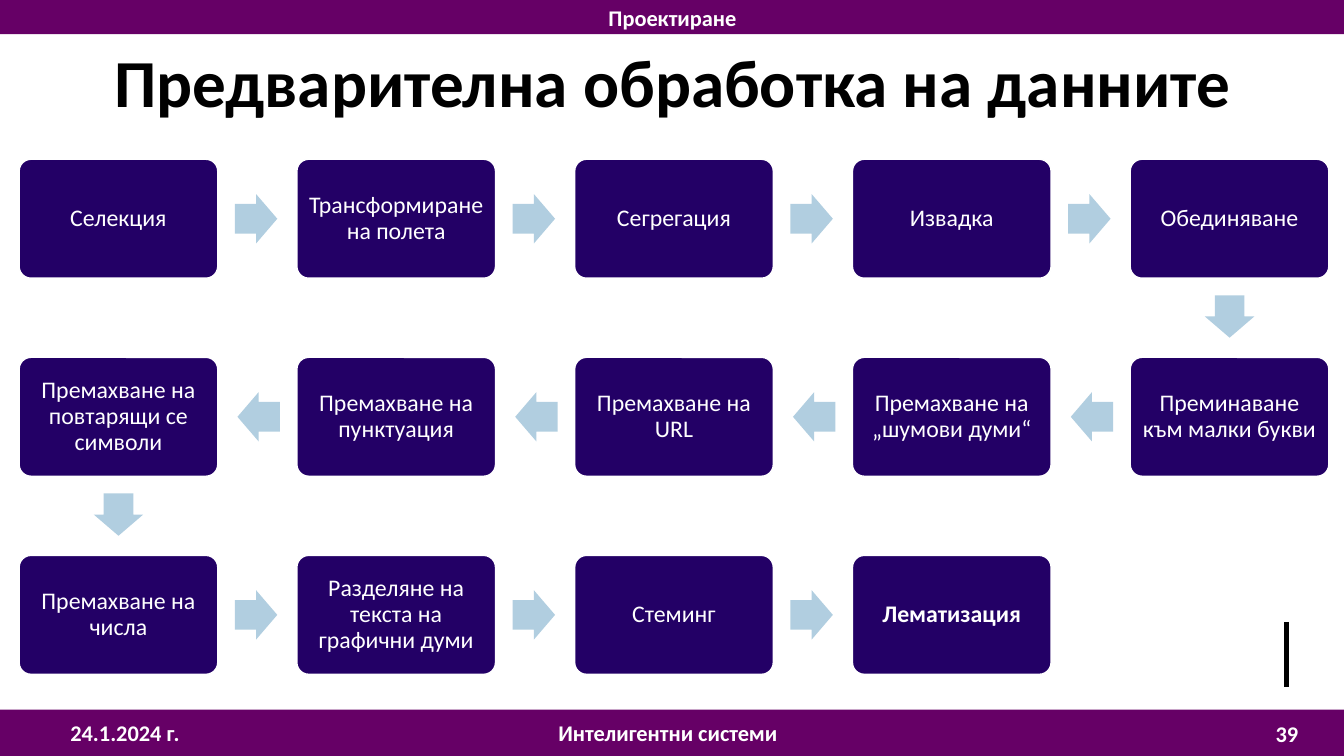
from pptx import Presentation
from pptx import util as u
from pptx.dml.color import RGBColor
from pptx.enum import shapes, text
from pptx.oxml.ns import qn
from lxml import etree

PX = 9144  # EMU per px, 100 px to the inch
SLIDE_W, SLIDE_H = 1333, 750
FONT = "Calibri"
BLACK = RGBColor(0x00, 0x00, 0x00)
WHITE = RGBColor(0xFF, 0xFF, 0xFF)
PURPLE = RGBColor(0x66, 0x00, 0x66)
INDIGO = RGBColor(0x23, 0x00, 0x66)
PALE_BLUE = RGBColor(0xB1, 0xCE, 0xE0)
LEFT, CENTER = text.PP_ALIGN.LEFT, text.PP_ALIGN.CENTER

# Steps in reading order: odd rows run right, even rows run left
STEPS = [
    "Селекция", "Трансформиране на полета", "Сегрегация", "Извадка",
    "Обединяване", "Преминаване към малки букви",
    "Премахване на „шумови думи“", "Премахване на URL",
    "Премахване на пунктуация", "Премахване на повтарящи се символи",
    "Премахване на числа", "Разделяне на текста на графични думи",
    "Стеминг", "Лематизация",
]
COLUMNS, ROWS = 5, 3
STEP_W, STEP_H = 197, 118
ARROW_L, ARROW_W = 42, 49
ARROW_OFFSET = 38  # from the edge of a step to the middle of its arrow


def emu(*lengths):
    return [round(length * PX) for length in lengths]


def write(frame, words, size, color, bold=False, align=CENTER):
    frame.text = words
    frame.word_wrap = True
    frame.auto_size = text.MSO_AUTO_SIZE.NONE
    frame.vertical_anchor = text.MSO_ANCHOR.MIDDLE
    paragraph = frame.paragraphs[0]
    paragraph.alignment = align
    font = paragraph.runs[0].font
    font.name, font.size, font.bold = FONT, u.Pt(size), bold
    font.color.rgb = color


def add_filled(slide, kind, box, fill):
    shape = slide.shapes.add_shape(kind, *emu(*box))
    shape.shadow.inherit = False
    shape.fill.solid()
    shape.fill.fore_color.rgb = fill
    shape.line.fill.background()
    return shape


def add_band(slide, box, labels):
    """Purple band with (left, top, width, height, words, align) labels."""
    x, y, _, _ = box
    add_filled(slide, shapes.MSO_SHAPE.RECTANGLE, box, PURPLE)
    for left, top, width, height, words, align in labels:
        label = slide.shapes.add_textbox(*emu(x + left, y + top, width, height))
        write(label.text_frame, words, 16, WHITE, True, align)


def add_title(slide, box, words):
    title = slide.shapes.title
    title.left, title.top, title.width, title.height = emu(*box)
    write(title.text_frame, words, 48, BLACK, True)


def add_step(slide, box, words, bold):
    step = add_filled(slide, shapes.MSO_SHAPE.ROUNDED_RECTANGLE, box, INDIGO)
    step.adjustments[0] = 0.1
    step.line.color.rgb = WHITE
    step.line.width = u.Pt(1)
    frame = step.text_frame
    frame.margin_left = frame.margin_right = 7 * PX
    frame.margin_top = frame.margin_bottom = 7 * PX
    write(frame, words, 17, WHITE, bold)
    frame.paragraphs[0].line_spacing = 0.9


def add_arrow(slide, center_x, center_y, rotation):
    box = (center_x - ARROW_L / 2, center_y - ARROW_W / 2, ARROW_L, ARROW_W)
    arrow = add_filled(slide, shapes.MSO_SHAPE.RIGHT_ARROW, box, PALE_BLUE)
    arrow.adjustments[0], arrow.adjustments[1] = 0.6, 0.5
    arrow.rotation = rotation


def add_process(slide, box, steps):
    """Snaking rows of steps, each followed by an arrow to the next one."""
    x, y, width, height = box
    pitch_x = (width - STEP_W) / (COLUMNS - 1)
    pitch_y = (height - STEP_H) / (ROWS - 1)
    last = len(steps) - 1
    for i, words in enumerate(steps):
        row, place = divmod(i, COLUMNS)
        direction = -1 if row % 2 else 1
        column = place if direction == 1 else COLUMNS - 1 - place
        left, top = x + column * pitch_x, y + row * pitch_y
        add_step(slide, (left, top, STEP_W, STEP_H), words, i == last)
        if i == last:
            break
        middle_x, middle_y = left + STEP_W / 2, top + STEP_H / 2
        if place == COLUMNS - 1:
            add_arrow(slide, middle_x, top + STEP_H + ARROW_OFFSET, 90)
        else:
            reach = direction * (STEP_W / 2 + ARROW_OFFSET)
            add_arrow(slide, middle_x + reach, middle_y, 0 if direction == 1 else 180)


def add_rule(slide, x, top, bottom):
    rule = slide.shapes.add_connector(
        shapes.MSO_CONNECTOR.STRAIGHT, *emu(x, top, x, bottom))
    rule.line.color.rgb = BLACK
    rule.line.width = u.Pt(3)
    etree.SubElement(rule._element.spPr, qn("a:effectLst"))


def main():
    prs = Presentation()
    prs.slide_width, prs.slide_height = emu(SLIDE_W, SLIDE_H)
    slide = prs.slides.add_slide(prs.slide_layouts[5])

    # Title and rule above the page number
    add_rule(slide, 1276, 617, 682)
    add_title(slide, (2, 17, 1331, 126), "Предварителна обработка на данните")

    # Footer and header bands
    add_band(slide, (0, 704, SLIDE_W, 46), [
        (60, 3, 160, 40, "24.1.2024 г.", LEFT),
        (1235, 4, 83, 40, "39", CENTER),
        (544, 3, 245, 40, "Интелигентни системи", LEFT),
    ])
    add_band(slide, (0, 0, SLIDE_W, 34), [
        (460, -3, 414, 40, "Проектиране", CENTER),
    ])

    # Preprocessing steps
    add_process(slide, (19, 158, 1299, 511), STEPS)
    prs.save("out.pptx")


if __name__ == "__main__":
    main()
